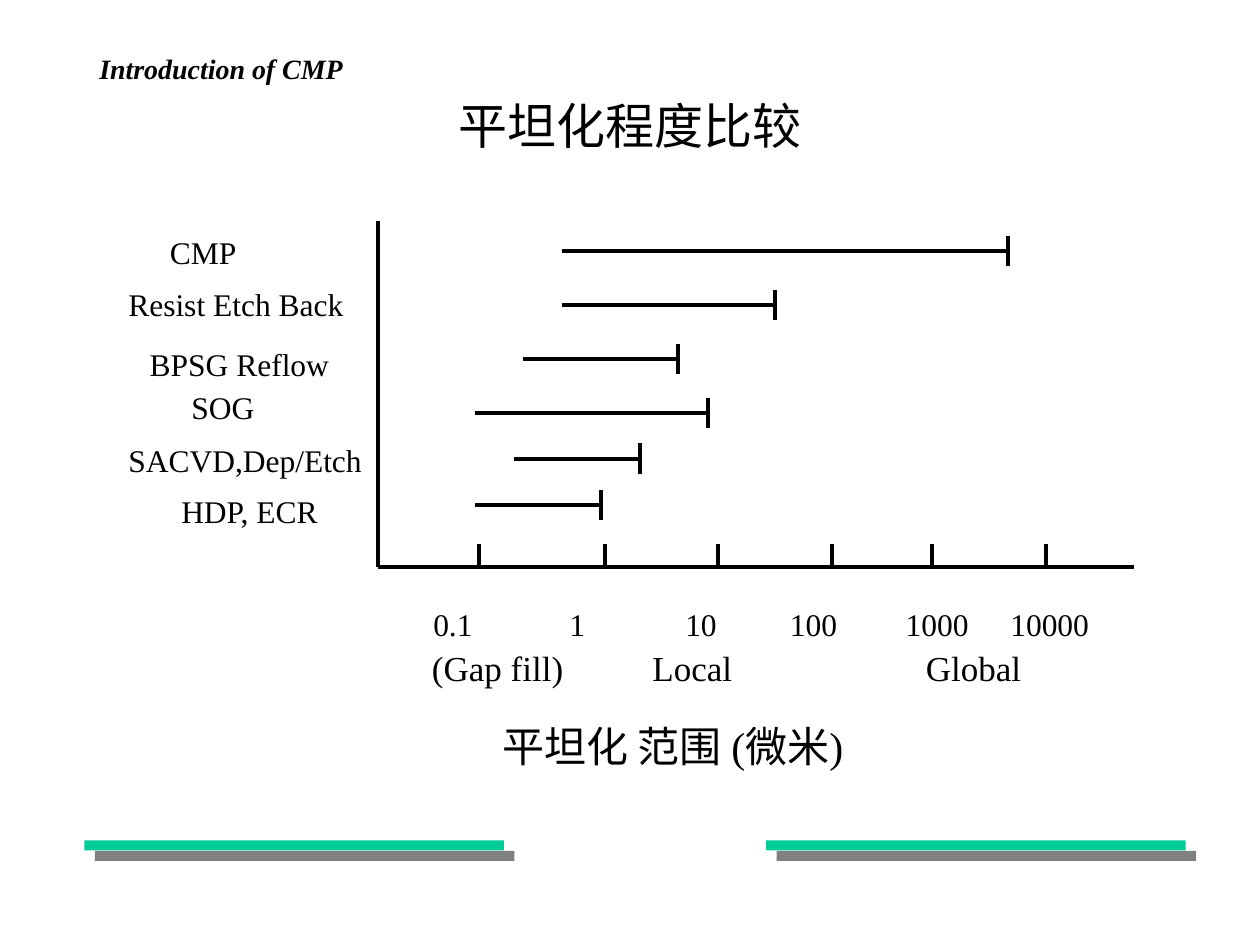
"""Build a slide that compares the planarization range of several processes."""
from dataclasses import dataclass

from lxml.etree import SubElement
from pptx import Presentation
from pptx.dml.color import RGBColor
from pptx.enum.shapes import MSO_CONNECTOR, MSO_SHAPE
from pptx.enum.text import MSO_ANCHOR, MSO_AUTO_SIZE, PP_ALIGN
from pptx.oxml.ns import qn
from pptx.util import Inches, Pt


@dataclass(frozen=True)
class Theme:
    font: str = "Times New Roman"
    ink: str = "000000"
    accent: str = "00CC99"
    shade: str = "808080"
    title: int = 28
    caption: int = 24
    zone: int = 20
    label: int = 18
    header: int = 16
    line: float = 2.25


THEME = Theme()
TITLE = "平坦化程度比较"
HEADER = "Introduction of CMP"
CAPTION = ("平坦化 范围 (微米)", 3.89, 3.2)

PROCESSES = [
    ("CMP", 1.25, 1.8, 0.73, 4.46, 8, 1.99),
    ("Resist Etch Back", 0.92, 2.21, 1.91, 4.46, 6.15, 2.42),
    ("BPSG Reflow", 1.09, 2.69, 1.62, 4.15, 5.38, 2.85),
    ("SOG", 1.42, 3.03, 0.7, 3.77, 5.62, 3.28),
    ("SACVD,Dep/Etch", 0.92, 3.45, 2.05, 4.08, 5.08, 3.64),
    ("HDP, ECR", 1.34, 3.86, 1.31, 3.77, 4.77, 4.01),
]
SCALE = [
    ("0.1", 3.34, 0.51, 3.8),
    ("1", 4.42, 0.32, 4.8),
    ("10", 5.34, 0.45, 5.7),
    ("100", 6.17, 0.57, 6.6),
    ("1000", 7.09, 0.7, 7.4),
    ("10000", 7.92, 0.82, 8.3),
]
ZONES = [("(Gap fill)", 3.33, 1.24), ("Local", 5.08, 0.83), ("Global", 7.25, 0.96)]
BAR_LEFTS = (0.67, 6.08)
AXIS_LEFT, AXIS_RIGHT, AXIS_TOP, AXIS_BOTTOM = 3, 9, 1.75, 4.5
TICK, CAP, SLACK = 0.18, 0.12, 0.04


def write(box, text, size, bold=False, italic=False, align=PP_ALIGN.LEFT,
          anchor=MSO_ANCHOR.TOP, wrap=True, fit=MSO_AUTO_SIZE.NONE):
    """Put formatted text into a shape."""
    frame = box.text_frame
    frame.word_wrap = wrap
    frame.auto_size = fit
    frame.vertical_anchor = anchor
    para = frame.paragraphs[0]
    para.alignment = align
    para.space_before = Pt(0)
    span = para.add_run()
    span.text = text
    span.font.name = THEME.font
    span.font.size = Pt(size)
    span.font.bold = bold
    span.font.italic = italic
    span.font.color.rgb = RGBColor.from_string(THEME.ink)


def add_text(page, text, left, top, width, height, size, **style):
    """Add a text box."""
    box = page.shapes.add_textbox(*map(Inches, (left, top, width, height)))
    write(box, text, size, **style)


def add_label(page, text, left, top, width, height, size, wrap=False):
    """Add a left-aligned label with a little slack that grows with its text."""
    add_text(page, text, left, top, width + SLACK, height, size, wrap=wrap,
             fit=MSO_AUTO_SIZE.SHAPE_TO_FIT_TEXT)


def add_line(page, *ends):
    """Add a straight black line."""
    line = page.shapes.add_connector(MSO_CONNECTOR.STRAIGHT, *map(Inches, ends))
    line.line.width = Pt(THEME.line)
    line.line.color.rgb = RGBColor.from_string(THEME.ink)
    SubElement(line._element.spPr, qn("a:effectLst"))


def add_bar(page, left):
    """Add a footer bar with a hard shadow."""
    bar = page.shapes.add_shape(
        MSO_SHAPE.RECTANGLE, *map(Inches, (left, 6.67, 3.33, 0.08)))
    bar.fill.solid()
    bar.fill.fore_color.rgb = RGBColor.from_string(THEME.accent)
    bar.line.fill.background()
    bar.shadow.inherit = False
    effects = bar._element.spPr.find(qn("a:effectLst"))
    shadow = SubElement(effects, qn("a:outerShdw"), blurRad="0",
                        dist=str(Pt(8.5)), dir=str(45 * 60000),
                        algn="ctr", rotWithShape="0")
    SubElement(shadow, qn("a:srgbClr"), val=THEME.shade)


def main():
    """Lay out the slide and save it."""
    deck = Presentation()
    deck.slide_width, deck.slide_height = Inches(10), Inches(7.5)
    page = deck.slides.add_slide(deck.slide_layouts[5])

    for left in BAR_LEFTS:
        add_bar(page, left)

    title = page.shapes.title
    title.left, title.top, title.width, title.height = map(
        Inches, (0.75, 0.58, 8.5, 0.83))
    centred = {"align": PP_ALIGN.CENTER, "anchor": MSO_ANCHOR.MIDDLE}
    write(title, TITLE, THEME.title, **centred)

    add_line(page, AXIS_LEFT, AXIS_TOP, AXIS_LEFT, AXIS_BOTTOM)
    add_line(page, AXIS_LEFT, AXIS_BOTTOM, AXIS_RIGHT, AXIS_BOTTOM)
    for text, left, width, tick in SCALE:
        add_line(page, tick, AXIS_BOTTOM, tick, AXIS_BOTTOM - TICK)
        add_label(page, text, left, 4.75, width, 0.4, THEME.label)

    for name, left, top, width, start, end, height in PROCESSES:
        add_line(page, start, height, end, height)
        add_line(page, end, height - CAP, end, height + CAP)
        add_label(page, name, left, top, width, 0.4, THEME.label)

    for text, left, width in ZONES:
        add_label(page, text, left, 5.08, width, 0.44, THEME.zone)
    caption, left, width = CAPTION
    add_label(page, caption, left, 5.67, width, 0.5, THEME.caption, wrap=True)
    add_text(page, HEADER, 0.67, 0.25, 2.17, 0.58, THEME.header,
             bold=True, italic=True, **centred)

    deck.save("out.pptx")


if __name__ == "__main__":
    main()
